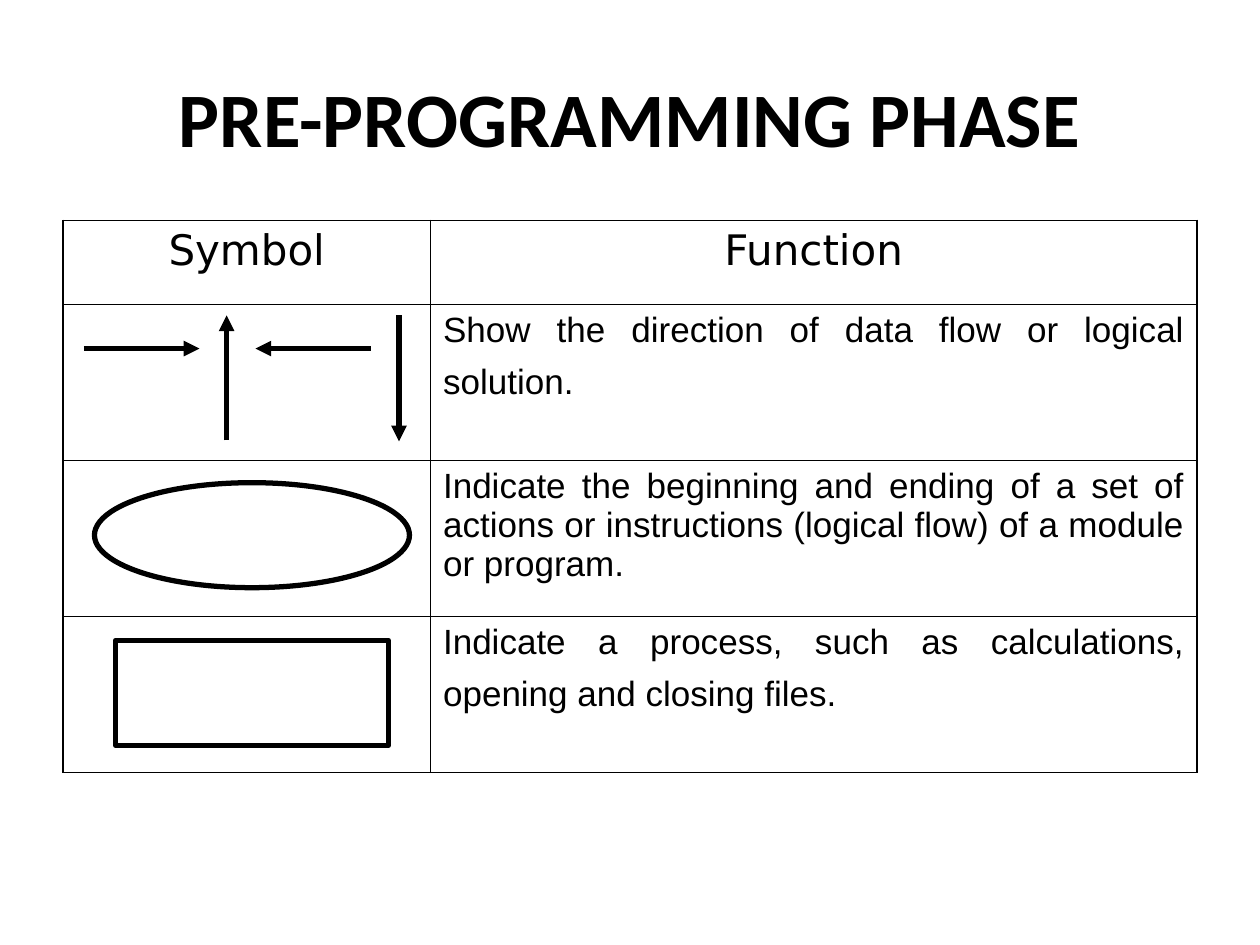
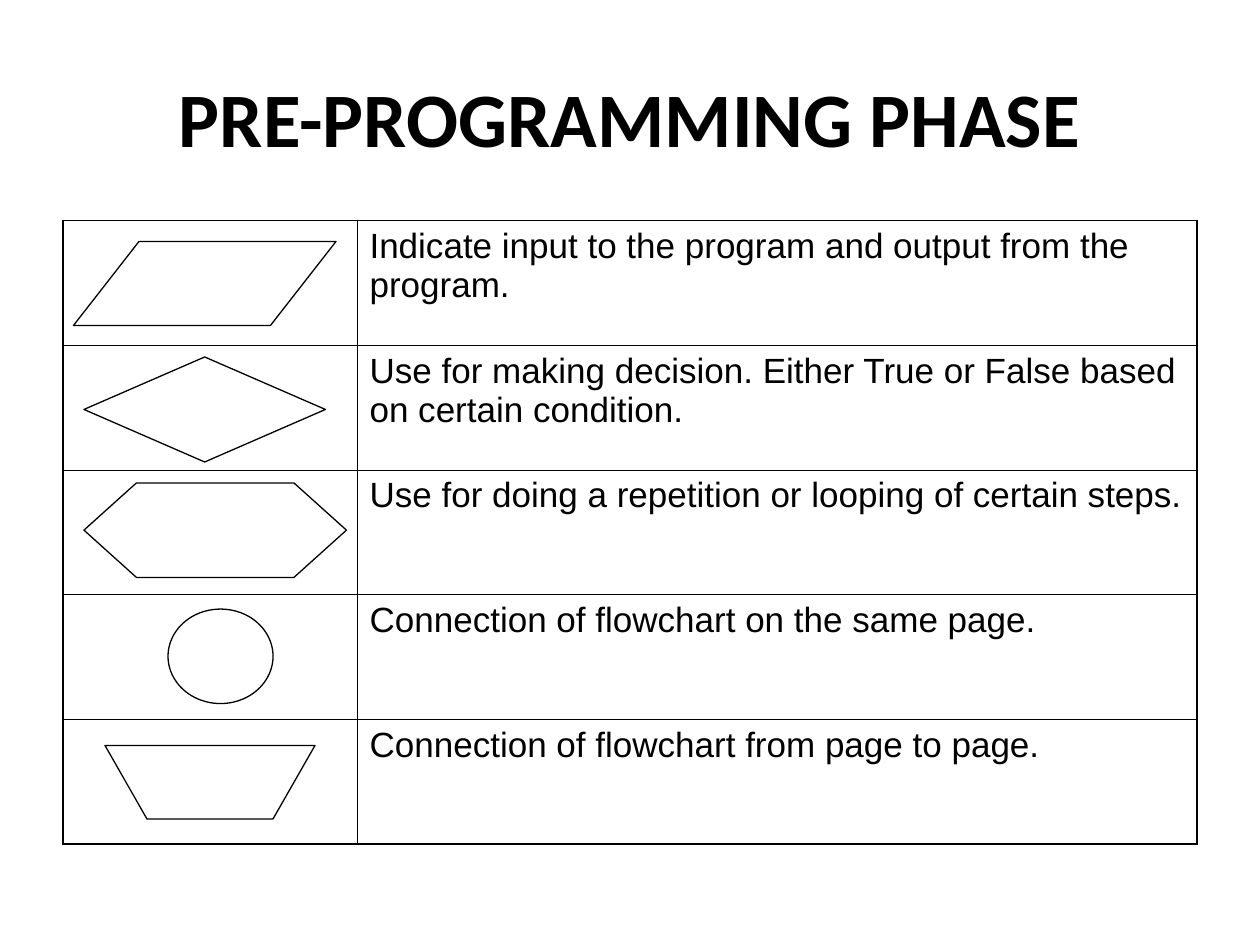
from lxml import etree
from pptx import Presentation
from pptx.dml.color import RGBColor
from pptx.enum.shapes import MSO_CONNECTOR as Connector, MSO_SHAPE as Preset
from pptx.enum.text import MSO_ANCHOR as Anchor, PP_ALIGN as Align
from pptx.oxml.ns import qn
from pptx.util import Pt

COLORS = {"ink": "000000", "paper": "FFFFFF"}
TITLE_FONT, HEADER_FONT, BODY_FONT = "Calibri", "DejaVu Sans", "Arial"
TITLE_BOX = (36, 21.6, 648, 90)
TABLE_LEFT, TABLE_TOP, TABLE_WIDTH = 36, 126, 648
OUTER_BORDER, INNER_BORDER = 1.08, 0.45
HEADER_HEIGHT = 48.2
ARROWS = [((12, 25), (78, 25)), ((93.5, 77.5), (93.5, 6)),
          ((192, 6), (192, 78)), ((176, 25), (110, 25))]


def color(name):
    return RGBColor.from_string(COLORS[name])


def add_run(paragraph, text, font_name, size, bold=False):
    run = paragraph.add_run()
    run.text = text
    run.font.name = font_name
    run.font.size = Pt(size)
    run.font.bold = bold
    run.font.color.rgb = color("ink")


def add_titled_slide(presentation, title):
    slide = presentation.slides.add_slide(presentation.slide_layouts[5])
    shape = slide.shapes.title
    shape.left, shape.top, shape.width, shape.height = map(Pt, TITLE_BOX)
    shape.text_frame.vertical_anchor = Anchor.MIDDLE
    paragraph = shape.text_frame.paragraphs[0]
    paragraph.alignment = Align.CENTER
    add_run(paragraph, title, TITLE_FONT, 44, True)
    return slide


def set_borders(cell, outer_sides):
    properties = cell._tc.get_or_add_tcPr()
    for side in "LRTB":
        width = OUTER_BORDER if side in outer_sides else INNER_BORDER
        line = etree.SubElement(properties, qn(f"a:ln{side}"), w=str(int(Pt(width))))
        fill = etree.SubElement(line, qn("a:solidFill"))
        etree.SubElement(fill, qn("a:srgbClr"), val=COLORS["ink"])


def add_grid(slide, symbol_width, row_heights):
    row_count = len(row_heights)
    frame = slide.shapes.add_table(row_count, 2, Pt(TABLE_LEFT), Pt(TABLE_TOP),
                                   Pt(TABLE_WIDTH), Pt(sum(row_heights)))
    table = frame.table
    table.first_row = table.horz_banding = False
    table.columns[0].width = Pt(symbol_width)
    table.columns[1].width = Pt(TABLE_WIDTH - symbol_width)
    for index, height in enumerate(row_heights):
        table.rows[index].height = Pt(height)
        edges = ("T" if index == 0 else "") + ("B" if index == row_count - 1 else "")
        for column, side in enumerate("LR"):
            cell = table.cell(index, column)
            set_borders(cell, side + edges)
            cell.fill.background()
    return table


def fill_cell(cell, text, alignment, font_name=BODY_FONT, size=20, tall_end=False):
    paragraph = cell.text_frame.paragraphs[0]
    paragraph.alignment = alignment
    add_run(paragraph, text, font_name, size)
    if tall_end:
        add_run(paragraph, " ", font_name, 28)


def add_symbol(slide, cell_top, preset, box, line_width):
    left, top, width, height = box
    shape = slide.shapes.add_shape(preset, Pt(TABLE_LEFT + left), Pt(cell_top + top),
                                   Pt(width), Pt(height))
    shape.shadow.inherit = False
    shape.fill.solid()
    shape.fill.fore_color.rgb = color("paper")
    shape.line.color.rgb = color("ink")
    shape.line.width = Pt(line_width)
    return shape


def add_flow_arrows(slide, cell_top):
    group = slide.shapes.add_group_shape()
    for (start_x, start_y), (end_x, end_y) in ARROWS:
        arrow = group.shapes.add_connector(
            Connector.STRAIGHT, Pt(TABLE_LEFT + start_x), Pt(cell_top + start_y),
            Pt(TABLE_LEFT + end_x), Pt(cell_top + end_y))
        arrow.line.color.rgb = color("ink")
        arrow.line.width = Pt(3)
        etree.SubElement(arrow.line._get_or_add_ln(), qn("a:tailEnd"), type="triangle")
        etree.SubElement(arrow._element.spPr, qn("a:effectLst"))


def build_basic_symbols(presentation, title):
    slide = add_titled_slide(presentation, title)
    row_height = 89.1
    table = add_grid(slide, 210, [HEADER_HEIGHT] + [row_height] * 3)
    for column, header in enumerate(["Symbol", "Function"]):
        fill_cell(table.cell(0, column), header, Align.CENTER, HEADER_FONT, 24)
    functions = [
        ("Show the direction of data flow or logical solution.", True),
        ("Indicate the beginning and ending of a set of actions or instructions "
         "(logical flow) of a module or program.", False),
        ("Indicate a process, such as calculations, opening and closing files.", True),
    ]
    for row, (text, tall_end) in enumerate(functions, 1):
        fill_cell(table.cell(row, 1), text, Align.JUSTIFY, tall_end=tall_end)
    first_top = TABLE_TOP + HEADER_HEIGHT
    add_flow_arrows(slide, first_top)
    add_symbol(slide, first_top + row_height, Preset.OVAL, (18, 12.5, 180, 60), 3)
    add_symbol(slide, first_top + 2 * row_height, Preset.RECTANGLE, (30, 13.5, 156, 60), 3)


def build_flow_symbols(presentation, title):
    slide = add_titled_slide(presentation, title)
    row_height = 71.28
    symbols = [
        (Preset.PARALLELOGRAM, (6, 12, 150, 48),
         "Indicate input to the program and output from the program."),
        (Preset.FLOWCHART_DECISION, (12, 6.7, 138, 60),
         "Use for making decision. Either True or False based on certain condition."),
        (Preset.FLOWCHART_PREPARATION, (12, 7.4, 150, 54),
         "Use for doing a repetition or looping of certain steps."),
        (Preset.FLOWCHART_CONNECTOR, (60, 8.2, 60, 54),
         "Connection of flowchart on the same page."),
        (Preset.FLOWCHART_MANUAL_OPERATION, (24, 14.9, 120, 42),
         "Connection of flowchart from page to page."),
    ]
    table = add_grid(slide, 168, [row_height] * len(symbols))
    for row, (preset, box, text) in enumerate(symbols):
        fill_cell(table.cell(row, 1), text, Align.LEFT)
        shape = add_symbol(slide, TABLE_TOP + row * row_height, preset, box, 0.75)
        if preset == Preset.PARALLELOGRAM:
            shape.adjustments[0] = 0.78


def main():
    presentation = Presentation()
    presentation.slide_width, presentation.slide_height = Pt(720), Pt(540)
    title = "PRE-PROGRAMMING PHASE"
    build_basic_symbols(presentation, title)
    build_flow_symbols(presentation, title)
    presentation.save("out.pptx")


if __name__ == "__main__":
    main()
